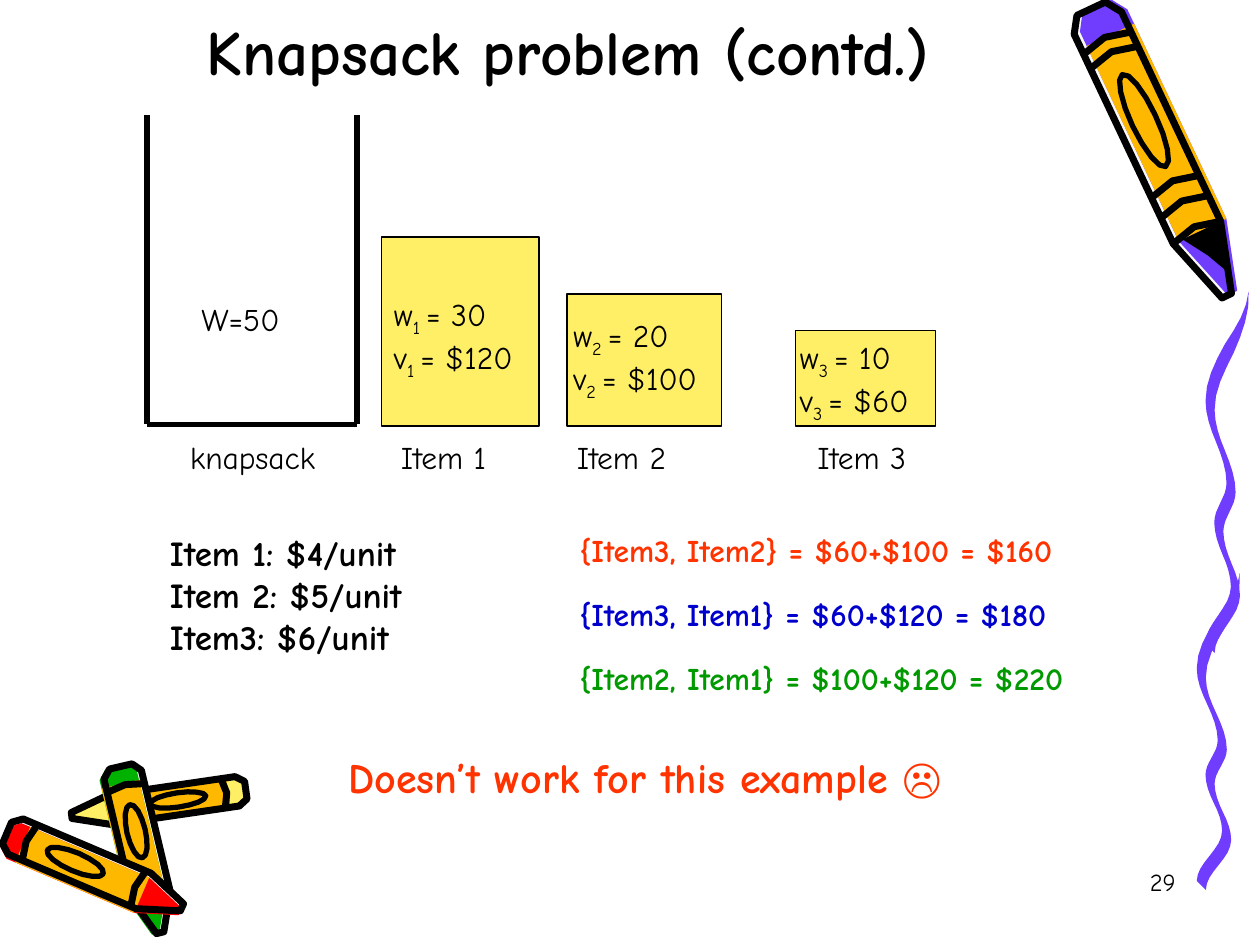
from dataclasses import dataclass
from math import cos, hypot, pi, sin
from typing import NamedTuple

from lxml import etree
from pptx import Presentation
from pptx import util as u
from pptx.dml.color import RGBColor
from pptx.enum import shapes, text
from pptx.oxml.ns import qn

FONT = "Comic Neue"
COLORS = {
    "black": "000000", "white": "F8F8F8", "purple": "703DFF", "amber": "FFB800",
    "yellow": "FFEF66", "red": "FF0000", "leaf": "00B200",
    "orange": "FF3300", "blue": "0000CC", "green": "009900",
}
FLOOR = 243.5  # common bottom edge of the items
NAME_ROW = 247  # top of the names below the items


class Point(NamedTuple):
    x: float
    y: float


@dataclass
class Crayon:
    wax: str
    end: Point
    tip: Point
    width: float
    color_shift: float  # how far the colour slips sideways from the ink, in widths
    bands: tuple[float, ...] = (0.13, 0.75)  # places along the crayon, 0 to 1
    shaded: bool = False


@dataclass
class Strand:
    left: float
    top: float
    height: float


@dataclass
class Label:
    words: str
    left: float
    top: float
    width: float
    height: float = 29
    size: float = 18
    color: str = "black"
    bold: bool = False


@dataclass
class Item:
    number: int
    weight: int
    value: int
    block: tuple[float, float, float]  # left, top, width
    facts: tuple[float, float, float]
    name: tuple[float, float, float]


# Crayon parts as (along, across): 0 to 1 from end to tip, -0.5 to 0.5 from side to side
BODY = [(0, -0.3), (0, 0.3), (0.05, 0.5), (0.78, 0.5), (1, 0.1), (1, -0.1), (0.78, -0.5), (0.05, -0.5)]
WRAPPER = [(0.1, -0.5), (0.1, 0.5), (0.78, 0.5), (0.78, -0.5)]
SHADE = [(0.78, -0.5), (0.78, 0.3), (0.86, 0), (0.93, -0.2)]
OVAL = [(0.39 + 0.16 * cos(step * pi / 8), 0.24 * sin(step * pi / 8)) for step in range(16)]

# Where the squiggle turns: share of its height, and distance from its left edge
TURNS = [(0, 25), (0.32, 3), (0.55, 15), (0.66, 8), (0.84, 17.5), (1, 3)]
NIB = 2.6

CRAYONS = [
    Crayon("yellow", Point(140.5, 451.5), Point(41, 466), 17, -0.05),
    Crayon("leaf", Point(69, 438), Point(91.5, 533), 22, 0.12),
    Crayon("red", Point(4, 476), Point(104, 518.5), 22, 0.12),
    Crayon("purple", Point(623.5, 5), Point(701, 169), 30, -0.12, (0.12, 0.17, 0.62, 0.69, 0.78), True),
]
STRANDS = [Strand(683.5, 327.5, 178.5), Strand(688.5, 166.5, 204)]
ITEMS = [
    Item(1, 30, 120, block=(218, 135.5, 90), facts=(218, 165, 90), name=(222, NAME_ROW, 70.5)),
    Item(2, 20, 100, block=(324, 168, 88.5), facts=(320.5, 177, 92), name=(322.5, NAME_ROW, 73.5)),
    Item(3, 10, 60, block=(454.5, 189, 80), facts=(450, 189.5, 84), name=(460, NAME_ROW, 73.5)),
]
SUMS = [
    ("{Item3, Item2} = $60+$100 = $160", "orange", 343),
    ("{Item3, Item1} = $60+$120 = $180", "blue", 343),
    ("{Item2, Item1} = $100+$120 = $220", "green", 354),
]
LABELS = [
    Label("W=50", 108, 168, 65),
    Label("knapsack", 101.5, NAME_ROW, 90),
    *(Label(f"Item {item.number}", *item.name) for item in ITEMS),
    Label("Item 1: $4/unit\nItem 2: $5/unit\nItem3: $6/unit", 90, 300, 173.5, 80, 20, bold=True),
    *(Label(words, 324, 300 + 36.4 * row, width, color=color, bold=True)
      for row, (words, color, width) in enumerate(SUMS)),
    Label("Doesn’t work for this example ☹", 192, 426, 400, 36, 24, "orange", True),
]


def rgb(name: str) -> RGBColor:
    return RGBColor.from_string(COLORS[name])


def style_shape(shape, fill: str | None, ink: float = 0) -> None:
    """Fill with a named colour and outline in black, leaving out either if empty."""
    shape.shadow.inherit = False
    if fill:
        shape.fill.solid()
        shape.fill.fore_color.rgb = rgb(fill)
    else:
        shape.fill.background()
    if ink:
        shape.line.color.rgb = rgb("black")
        shape.line.width = u.Pt(ink)
    else:
        shape.line.fill.background()


def draw_outline(page, points: list[Point], fill: str | None, ink: float = 0, close: bool = True) -> None:
    tenths = [(10 * x, 10 * y) for x, y in points]
    builder = page.shapes.build_freeform(*tenths[0], scale=u.Pt(0.1))
    builder.add_line_segments(tenths[1:], close=close)
    style_shape(builder.convert_to_shape(), fill, ink)


def draw_crayon(page, crayon: Crayon) -> None:
    end, tip = crayon.end, crayon.tip
    run, drop = tip.x - end.x, tip.y - end.y
    side = crayon.width / hypot(run, drop)

    def place(part, shift: float = 0) -> list[Point]:
        """Turn (along, across) pairs into points on the slide."""
        return [Point(end.x + along * run - (across + shift) * side * drop,
                      end.y + along * drop + (across + shift) * side * run) for along, across in part]

    draw_outline(page, place(BODY), "white")
    draw_outline(page, place(BODY, crayon.color_shift), crayon.wax)
    draw_outline(page, place(WRAPPER, crayon.color_shift), "amber")
    if crayon.shaded:
        draw_outline(page, place(SHADE), "black")
    draw_outline(page, place(BODY), None, 4)
    draw_outline(page, place(OVAL), None, 3)
    for band in crayon.bands:
        bow = [(band, -0.5), (band - 0.02, 0), (band, 0.5)]
        draw_outline(page, place(bow), None, 4, close=False)


def draw_strand(page, strand: Strand, steps: int = 8) -> None:
    """Swing from turn to turn on cosine curves, as a slanted nib would."""
    upper, lower = [], []
    for (start, here), (stop, there) in zip(TURNS, TURNS[1:]):
        for step in range(steps + 1):
            share = step / steps
            height = start + (stop - start) * share
            x = strand.left + here + (there - here) * (1 - cos(pi * share)) / 2
            y = strand.top + strand.height * height
            nib = NIB * min(1, 6 * height)
            upper.append(Point(x - nib, y - nib))
            lower.append(Point(x + nib, y + nib))
    draw_outline(page, upper + lower[::-1], "purple")


def add_stroke(page, start: Point, end: Point) -> None:
    stroke = page.shapes.add_connector(shapes.MSO_CONNECTOR.STRAIGHT, *map(u.Pt, (*start, *end)))
    stroke.line.width = u.Pt(3)
    stroke.line.color.rgb = rgb("black")
    etree.SubElement(stroke._element.spPr, qn("a:effectLst"))


def format_text(frame, size: float, color: str = "black", bold: bool = False) -> None:
    for para in frame.paragraphs:
        for span in para.runs:
            span.font.name, span.font.size, span.font.bold = FONT, u.Pt(size), bold
            span.font.color.rgb = rgb(color)


def add_label(page, label: Label):
    box = page.shapes.add_textbox(*map(u.Pt, (label.left, label.top, label.width, label.height)))
    frame = box.text_frame
    frame.word_wrap = False
    frame.auto_size = text.MSO_AUTO_SIZE.SHAPE_TO_FIT_TEXT
    frame.text = label.words
    format_text(frame, label.size, label.color, label.bold)
    return frame


def add_item(page, item: Item) -> None:
    left, top, width = item.block
    block = page.shapes.add_shape(shapes.MSO_SHAPE.RECTANGLE, *map(u.Pt, (left, top, width, FLOOR - top)))
    style_shape(block, "yellow", 0.75)
    frame = add_label(page, Label("w\nv", *item.facts, height=51))
    for para, amount in zip(frame.paragraphs, (f"= {item.weight}", f"= ${item.value}")):
        subscript = para.add_run()
        subscript.text = f"{item.number} "
        subscript._r.get_or_add_rPr().set("baseline", "-25000")
        para.add_run().text = amount
    format_text(frame, 18)


def add_title(page, words: str) -> None:
    title = page.shapes.title
    title.left, title.top, title.width, title.height = map(u.Pt, (54, 12, 541, 42))
    frame = title.text_frame
    frame.text = words
    frame.vertical_anchor = text.MSO_ANCHOR.BOTTOM
    frame.auto_size = text.MSO_AUTO_SIZE.NONE
    frame.paragraphs[0].alignment = text.PP_ALIGN.CENTER
    format_text(frame, 36, bold=True)


def add_page_number(page, words: str) -> None:
    frame = add_label(page, Label(words, 529, 492, 150, 36, 14))
    frame.word_wrap = True
    frame.auto_size = text.MSO_AUTO_SIZE.NONE
    frame.paragraphs[0].alignment = text.PP_ALIGN.RIGHT


def main() -> None:
    deck = Presentation()
    deck.slide_width, deck.slide_height = u.Pt(720), u.Pt(540)
    page = deck.slides.add_slide(deck.slide_layouts[5])
    for strand in STRANDS:
        draw_strand(page, strand)
    for crayon in CRAYONS:
        draw_crayon(page, crayon)
    add_title(page, "Knapsack problem (contd.)")
    add_page_number(page, "29")
    knapsack = [Point(84, 66), Point(84, 242.5), Point(204, 242.5), Point(204, 66)]
    for start, end in zip(knapsack, knapsack[1:]):
        add_stroke(page, start, end)
    for item in ITEMS:
        add_item(page, item)
    for label in LABELS:
        add_label(page, label)
    deck.save("out.pptx")


if __name__ == "__main__":
    main()
